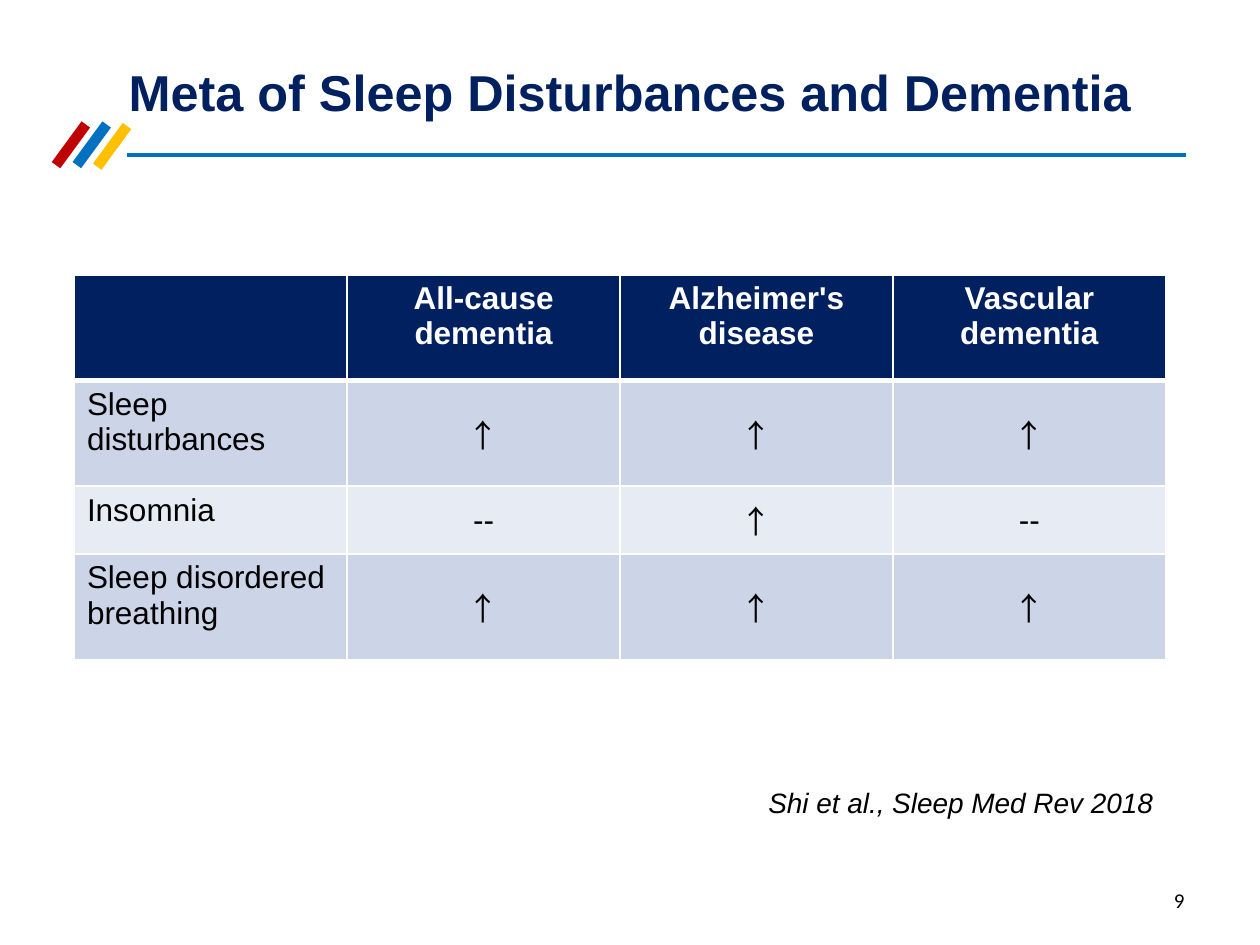
from lxml import etree
from pptx import Presentation
from pptx.dml.color import RGBColor
from pptx.enum.shapes import MSO_CONNECTOR
from pptx.enum.text import MSO_ANCHOR, PP_ALIGN
from pptx.oxml.ns import qn
from pptx.util import Cm, Pt

NAVY = RGBColor(0x00, 0x20, 0x60)
BLUE = RGBColor(0x00, 0x70, 0xC0)
RED = RGBColor(0xC0, 0x00, 0x00)
GOLD = RGBColor(0xFF, 0xC0, 0x00)
BAND_DARK = RGBColor(0xCC, 0xD5, 0xE8)
BAND_LIGHT = RGBColor(0xE7, 0xEB, 0xF4)
WHITE = RGBColor(0xFF, 0xFF, 0xFF)
BLACK = RGBColor(0x00, 0x00, 0x00)

LEFT, CENTER, RIGHT = PP_ALIGN.LEFT, PP_ALIGN.CENTER, PP_ALIGN.RIGHT
TOP, MIDDLE = MSO_ANCHOR.TOP, MSO_ANCHOR.MIDDLE
STRAIGHT = MSO_CONNECTOR.STRAIGHT

UP = "↑"
ROWS = [
    ["", "All-cause dementia", "Alzheimer's disease", "Vascular dementia"],
    ["Sleep disturbances", UP, UP, UP],
    ["Insomnia", "--", UP, "--"],
    ["Sleep disordered breathing", UP, UP, UP],
]
ROW_HEIGHTS = [2.13, 2.13, 1.37, 2.13]


class SlideBuilder:
    font = "Arial"
    arrow_font = "Noto Sans CJK SC"
    number_font = "Calibri"

    def __init__(self, slide):
        self.slide = slide

    def line(self, x1, y1, x2, y2, color, width):
        ln = self.slide.shapes.add_connector(STRAIGHT, Cm(x1), Cm(y1), Cm(x2), Cm(y2))
        ln.line.color.rgb = color
        ln.line.width = Pt(width)
        etree.SubElement(ln._element.spPr, qn("a:effectLst"))

    def set_text(self, tf, text, size, color, align, font=None, bold=False, italic=False):
        p = tf.paragraphs[0]
        p.text = text
        p.alignment = align
        for r in p.runs:
            r.font.name = font or self.font
            r.font.size = Pt(size)
            r.font.color.rgb = color
            r.font.bold = bold
            r.font.italic = italic
            if font == self.arrow_font:
                etree.SubElement(r._r.get_or_add_rPr(), qn("a:ea"), typeface=font)

    def text(self, x, y, w, h, text, size, color, align, anchor=TOP, **style):
        tf = self.slide.shapes.add_textbox(Cm(x), Cm(y), Cm(w), Cm(h)).text_frame
        tf.word_wrap = True
        tf.vertical_anchor = anchor
        self.set_text(tf, text, size, color, align, **style)

    def borders(self, cell, top, bottom):
        """Draw white cell borders; top and bottom are widths in points."""
        tc_pr = cell._tc.get_or_add_tcPr()
        for side, width in (("L", 1), ("R", 1), ("T", top), ("B", bottom)):
            ln = etree.SubElement(tc_pr, qn(f"a:ln{side}"), w=str(Pt(width)))
            fill = etree.SubElement(ln, qn("a:solidFill"))
            etree.SubElement(fill, qn("a:srgbClr"), val=str(WHITE))

    def table(self, x, y, col_width, row_heights, rows):
        n_cols = len(rows[0])
        table = self.slide.shapes.add_table(
            len(rows), n_cols, Cm(x), Cm(y),
            Cm(col_width * n_cols), Cm(sum(row_heights))).table
        for col in table.columns:
            col.width = Cm(col_width)
        for i, (height, values) in enumerate(zip(row_heights, rows)):
            table.rows[i].height = Cm(height)
            header = i == 0
            fill = NAVY if header else BAND_DARK if i % 2 else BAND_LIGHT
            for j, value in enumerate(values):
                cell = table.cell(i, j)
                self.borders(cell, 3 if i == 1 else 1, 3 if header else 1)
                cell.fill.solid()
                cell.fill.fore_color.rgb = fill
                cell.vertical_anchor = TOP if header or j == 0 else MIDDLE
                self.set_text(cell.text_frame, value, 18, WHITE if header else BLACK,
                              CENTER if header or j else LEFT, bold=header,
                              font=self.arrow_font if value == UP else None)


def main():
    prs = Presentation()
    prs.slide_width, prs.slide_height = Cm(25.4), Cm(19.05)
    s = SlideBuilder(prs.slides.add_slide(prs.slide_layouts[6]))

    for x, y, color in ((1.73, 2.51, RED), (2.15, 2.51, BLUE), (2.56, 2.54, GOLD)):
        s.line(x, y, x - 0.6, y + 0.82, color, 6)
    s.line(2.56, 3.13, 23.9, 3.13, BLUE, 2.25)

    s.text(1.27, 0.53, 22.86, 2.62, "Meta of Sleep Disturbances and Dementia",
           28.8, NAVY, CENTER, MIDDLE, bold=True)
    s.text(18.2, 17.65, 5.93, 1.01, "9", 12, BLACK, RIGHT, MIDDLE, font=s.number_font)
    s.table(1.5, 5.54, 5.5, ROW_HEIGHTS, ROWS)
    s.text(12.9, 15.72, 10.6, 0.94, "Shi et al., Sleep Med Rev 2018",
           16, BLACK, RIGHT, italic=True)

    prs.save("out.pptx")


if __name__ == "__main__":
    main()
